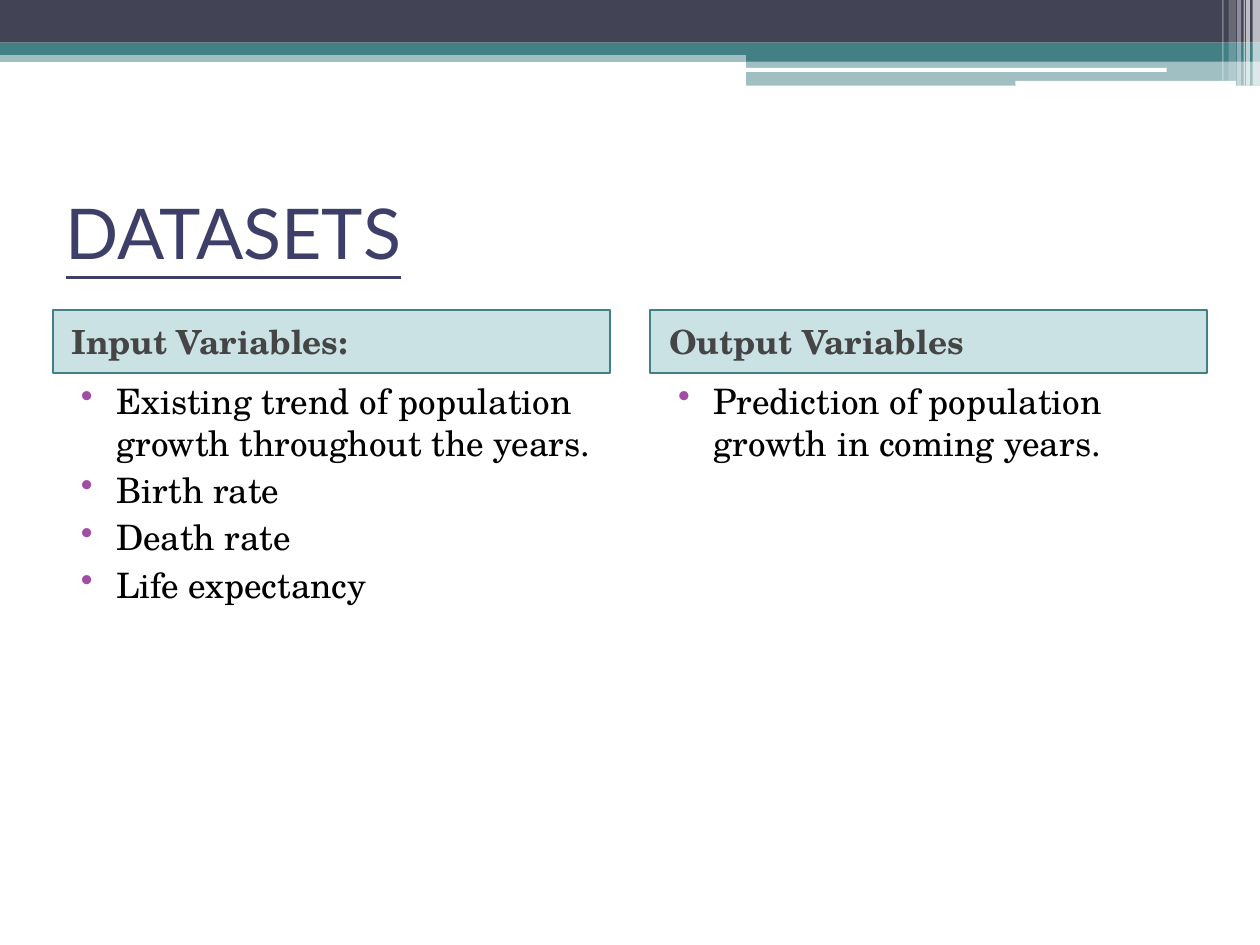
import pptx
import pptx.util
import pptx.dml.color
import pptx.enum.shapes
import pptx.enum.text
import pptx.oxml.ns
import pptx.oxml.xmlchemy

Cm = pptx.util.Cm
Pt = pptx.util.Pt
KIND = pptx.enum.shapes.MSO_SHAPE
TEAL = "438086"
WHITE = "FFFFFF"
SERIF = "TeX Gyre Schola"
WIDE = 11.23

BANDS = [
    (0, 1.02, 25.4, 0.23, TEAL, 50),
    (0, 0, 25.4, 0.86, "424456", 100),
    (0, 0.86, 25.4, 0.25, TEAL, 100),
    (15.04, 0.99, 10.36, 0.25, TEAL, 100),
    (15.04, 1.22, 10.36, 0.51, TEAL, 50),
]
BARS = [(15.01, 1.37, 8.51, 0.08), (20.47, 1.63, 4.45, 0.1)]
STRIPS = [
    (25.25, 0.15, 1.73, 65),
    (25.12, 0.08, 1.73, 65),
    (25.07, 0.03, 1.73, 60),
    (24.94, 0.08, 1.73, 40),
    (24.77, 0.15, 1.63, 20),
    (24.64, 0.03, 1.63, 30),
]
COLUMNS = [
    (1.07, "Input Variables:", [
        "Existing trend of population growth throughout the years.",
        "Birth rate",
        "Death rate",
        "Life expectancy",
    ]),
    (13.11, "Output Variables", [
        "Prediction of population growth in coming years.",
    ]),
]


def paint(target, color):
    """Set a colour format from a hex string."""
    target.rgb = pptx.dml.color.RGBColor.from_string(color)


def make(tag, **values):
    """Create an XML element with attributes."""
    node = pptx.oxml.xmlchemy.OxmlElement(tag)
    for key, value in values.items():
        node.set(key, value)
    return node


def block(slide, box, color, alpha=100, kind=KIND.RECTANGLE, edge=None):
    """Add a filled shape with optional transparency and outline."""
    shape = slide.shapes.add_shape(kind, *map(Cm, box))
    shape.shadow.inherit = False
    shape.fill.solid()
    paint(shape.fill.fore_color, color)
    if alpha < 100:
        tint = shape.element.spPr.find(".//" + pptx.oxml.ns.qn("a:srgbClr"))
        tint.append(make("a:alpha", val=str(alpha * 1000)))
    if edge:
        paint(shape.line.color, edge)
        shape.line.width = Pt(1)
    else:
        shape.line.fill.background()
    return shape


def indent(para, left, first=0, mark=None):
    """Indent a paragraph and give it a coloured bullet."""
    props = para._p.get_or_add_pPr()
    props.set("marL", str(int(Cm(left))))
    props.set("indent", str(int(Cm(first))))
    if mark:
        tone = make("a:buClr")
        tone.append(make("a:srgbClr", val=mark))
        props.extend([tone, make("a:buChar", char="•")])


def write(frame, lines, size, color, font=SERIF, bold=False, under=False,
          middle=False, before=3, left=0, first=0, mark=None):
    """Fill a text frame with formatted paragraphs."""
    anchor = pptx.enum.text.MSO_ANCHOR
    frame.word_wrap = True
    frame.auto_size = pptx.enum.text.MSO_AUTO_SIZE.NONE
    frame.vertical_anchor = anchor.MIDDLE if middle else anchor.TOP
    frame.text = "\n".join(lines)
    for para in frame.paragraphs:
        para.alignment = pptx.enum.text.PP_ALIGN.LEFT
        para.space_before = Pt(before)
        indent(para, left, first, mark)
        style = para.runs[0].font
        style.name, style.size = font, Pt(size)
        style.bold, style.underline = bold, under
        paint(style.color, color)


def banner(slide):
    """Draw the bands, bars and strips along the top."""
    for *box, color, alpha in BANDS:
        block(slide, box, color, alpha)
    for box in BARS:
        block(slide, box, WHITE, kind=KIND.ROUNDED_RECTANGLE)
    for left, width, height, alpha in STRIPS:
        block(slide, (left, 0, width, height), WHITE, alpha)


def title(slide, text):
    """Place and format the slide title."""
    shape = slide.shapes.title
    shape.left, shape.top, shape.width, shape.height = map(
        Cm, (1.07, 3.18, 23.29, 2.97))
    write(shape.text_frame, [text], 40, "3E3F68", font="Lato", under=True,
          middle=True, before=0)


def column(slide, left, head, items):
    """Add a heading box with a bulleted list below it."""
    shape = block(slide, (left, 6.25, WIDE, 1.27), "328E97", 25, edge=TEAL)
    write(shape.text_frame, [head], 19, "454545", bold=True, middle=True,
          left=0.13)
    body = slide.shapes.add_textbox(*map(Cm, (left, 7.52, WIDE, 10.8)))
    write(body.text_frame, items, 20, "000000", left=1.02, first=-0.71,
          mark="A04DA3")


def main():
    """Build and save the slide."""
    deck = pptx.Presentation()
    deck.slide_width, deck.slide_height = Cm(25.4), Cm(19.05)
    slide = deck.slides.add_slide(deck.slide_layouts[5])
    banner(slide)
    title(slide, "DATASETS")
    for left, head, items in COLUMNS:
        column(slide, left, head, items)
    deck.save("out.pptx")


if __name__ == "__main__":
    main()
